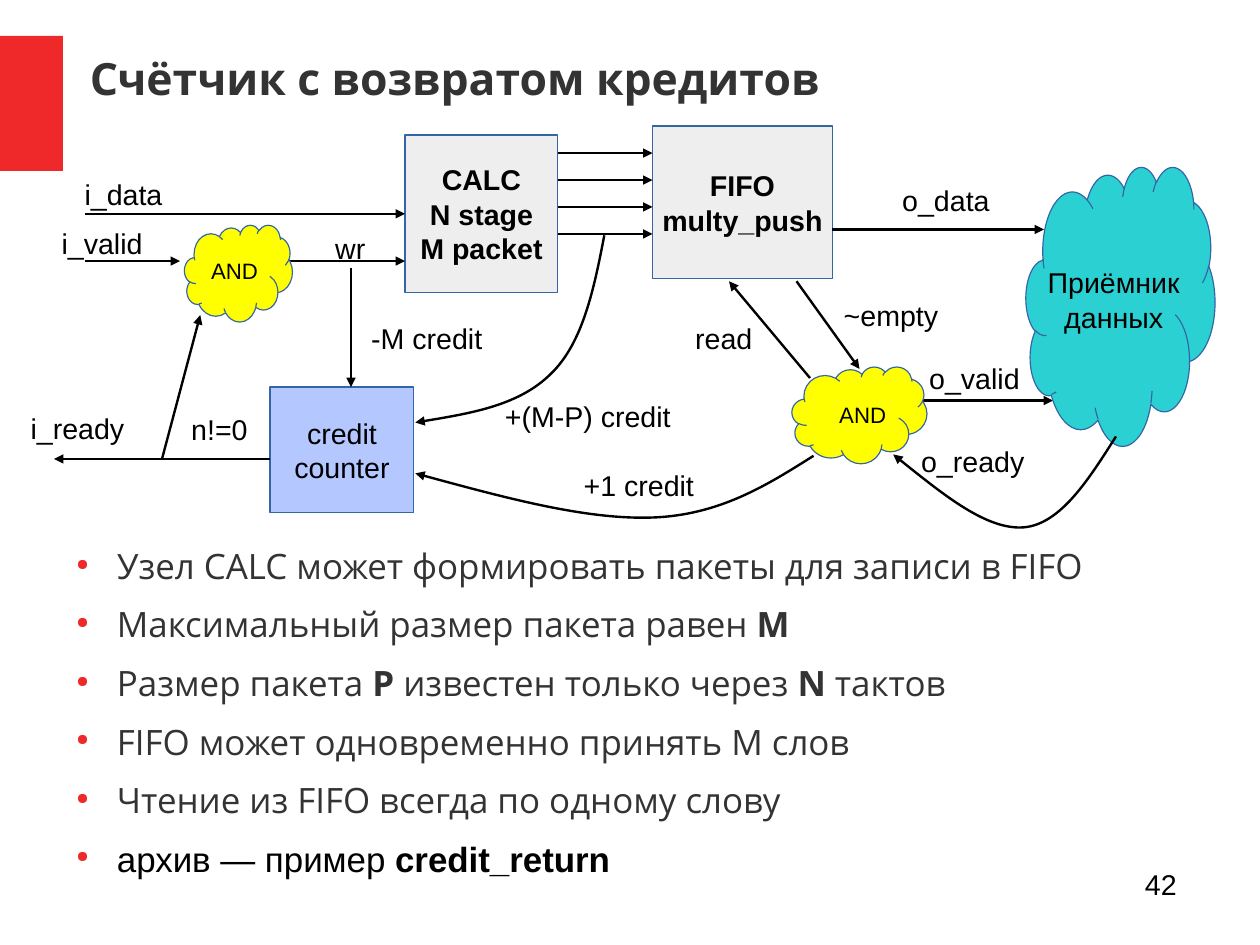
import lxml.etree
import pptx
import pptx.dml.color
import pptx.enum.shapes
import pptx.enum.text
import pptx.oxml
import pptx.oxml.ns
import pptx.util
from pptx.util import Cm

COLORS = {
    "red": "EF2929",
    "heading": "333333",
    "black": "000000",
    "gray": "EEEEEE",
    "outline": "3465A4",
    "cyan": "2BD0D2",
    "yellow": "FFFF00",
    "blue": "B4C8FF",
}
SHAPES = pptx.enum.shapes.MSO_SHAPE
ALIGN = pptx.enum.text.PP_ALIGN
ANCHOR = pptx.enum.text.MSO_ANCHOR
QNAME = pptx.oxml.ns.qn


def rgb(name):
    return pptx.dml.color.RGBColor.from_string(COLORS[name])


class DiagramSlide:
    """Draws the elements of a block diagram slide in one common style."""

    def __init__(self, slide, font="Arial", size=18, line_width=1.5):
        self.slide = slide
        self.font = font
        self.size = size
        self.line_width = pptx.util.Pt(line_width)

    def style(self, paragraph, size=None, font=None, color="black", bold=False):
        paragraph.font.name = font or self.font
        paragraph.font.size = pptx.util.Pt(size or self.size)
        paragraph.font.color.rgb = rgb(color)
        if bold is not None:
            paragraph.font.bold = bold

    def block(self, kind, left, top, width, height, fill, lines=(), outline="outline", size=None, bold=False):
        shape = self.slide.shapes.add_shape(kind, Cm(left), Cm(top), Cm(width), Cm(height))
        shape.shadow.inherit = False
        shape.fill.solid()
        shape.fill.fore_color.rgb = rgb(fill)
        if outline:
            shape.line.color.rgb = rgb(outline)
            shape.line.width = pptx.util.Pt(0.75)
        else:
            shape.line.fill.background()
        frame = shape.text_frame
        frame.word_wrap = False
        frame.vertical_anchor = ANCHOR.MIDDLE
        for index, line in enumerate(lines):
            paragraph = frame.add_paragraph() if index else frame.paragraphs[0]
            paragraph.text = line
            paragraph.alignment = ALIGN.CENTER
            self.style(paragraph, size, bold=bold)
        return shape

    def text_box(self, left, top, width, height, inset=True):
        box = self.slide.shapes.add_textbox(Cm(left), Cm(top), Cm(width), Cm(height))
        frame = box.text_frame
        frame.word_wrap = True
        if not inset:
            frame.margin_left = frame.margin_top = frame.margin_right = frame.margin_bottom = 0
        return frame

    def label(self, text, left, top, width=3.2, size=None, align=ALIGN.LEFT):
        paragraph = self.text_box(left, top, width, 0.97).paragraphs[0]
        paragraph.text = text
        paragraph.alignment = align
        self.style(paragraph, size)

    def title(self, text, left, top, width, height):
        frame = self.text_box(left, top, width, height, inset=False)
        frame.vertical_anchor = ANCHOR.MIDDLE
        frame.paragraphs[0].text = text
        self.style(frame.paragraphs[0], 28, "Open Sans", "heading", True)

    def bullets(self, items, left, top, width, height):
        frame = self.text_box(left, top, width, height, inset=False)
        for index, (font, color, runs) in enumerate(items):
            paragraph = frame.add_paragraph() if index else frame.paragraphs[0]
            paragraph.space_after = pptx.util.Pt(10.5)
            properties = paragraph._p.get_or_add_pPr()
            properties.set("marL", str(Cm(1.2)))
            properties.set("indent", str(Cm(-0.9)))
            bullet_color = lxml.etree.SubElement(properties, QNAME("a:buClr"))
            lxml.etree.SubElement(bullet_color, QNAME("a:srgbClr"), val=COLORS["red"])
            lxml.etree.SubElement(properties, QNAME("a:buSzPct"), val="45000")
            lxml.etree.SubElement(properties, QNAME("a:buChar"), char="●")
            self.style(paragraph, 22, font, color, None)
            for position, text in enumerate(runs):
                run = paragraph.add_run()
                run.text = text
                run.font.bold = position % 2 == 1

    def finish_line(self, shape):
        shape.line.color.rgb = rgb("black")
        shape.line.width = self.line_width
        lxml.etree.SubElement(shape.line._get_or_add_ln(), QNAME("a:tailEnd"), type="triangle", w="med", len="med")

    def arrow(self, x1, y1, x2, y2, target=None, side=1):
        connector = self.slide.shapes.add_connector(
            pptx.enum.shapes.MSO_CONNECTOR.STRAIGHT, Cm(x1), Cm(y1), Cm(x2), Cm(y2))
        if target is not None:
            connector.end_connect(target, side)
        self.finish_line(connector)
        lxml.etree.SubElement(connector._element.spPr, QNAME("a:effectLst"))

    def curve(self, points):
        start, *controls = [(Cm(x), Cm(y)) for x, y in points]
        builder = self.slide.shapes.build_freeform(*start)
        builder.add_line_segments(controls, close=False)
        shape = builder.convert_to_shape()
        outline = next(shape._element.iter(QNAME("a:path")))
        segments = outline.findall(QNAME("a:lnTo"))
        for first in range(0, len(segments), 3):
            bezier = lxml.etree.SubElement(outline, QNAME("a:cubicBezTo"))
            for segment in segments[first:first + 3]:
                bezier.append(segment[0])
                outline.remove(segment)
        shape.shadow.inherit = False
        shape.fill.background()
        self.finish_line(shape)


def main():
    presentation = pptx.Presentation()
    presentation.slide_width = Cm(28)
    presentation.slide_height = Cm(21)
    diagram = DiagramSlide(presentation.slides.add_slide(presentation.slide_layouts[6]))

    diagram.block(SHAPES.RECTANGLE, 0, 0.8, 1.4, 3, "red", outline=None)
    diagram.title("Счётчик с возвратом кредитов", 2, 0.85, 24.6, 1.75)

    calc = diagram.block(SHAPES.RECTANGLE, 9, 3, 3.4, 3.5, "gray", ["CALC", "N stage", "M packet"], bold=True)
    diagram.block(SHAPES.RECTANGLE, 14.5, 2.8, 4, 3.4, "gray", ["FIFO", "multy_push"], bold=True)
    diagram.block(SHAPES.RECTANGLE, 6, 8.6, 3.2, 2.8, "blue", ["credit", "counter"])

    diagram.arrow(1.9, 4.75, 9, 4.75, target=calc)
    for lane in range(4):
        y = 3.4 + 0.6 * lane
        diagram.arrow(12.4, y, 14.5, y)
    for ends in [
        (1.9, 5.8, 4, 5.8),
        (6.3, 5.8, 9, 5.8),
        (18.5, 5.1, 23.2, 5.1),
        (19.8, 8.9, 23.4, 8.9),
        (6, 10.2, 1.2, 10.2),
        (3.6, 10.2, 4.45, 7),
        (7.8, 5.95, 7.8, 8.6),
        (17.7, 6.25, 19.1, 8.2),
        (18, 8.4, 16.2, 6.25),
    ]:
        diagram.arrow(*ends)

    diagram.block(SHAPES.CLOUD, 22.8, 3.7, 4.2, 6.2, "cyan", ["Приёмник", "данных"])
    diagram.block(SHAPES.CLOUD, 17.6, 8.15, 3, 2.15, "yellow")
    diagram.block(SHAPES.CLOUD, 4.1, 5, 2.4, 2.15, "yellow", ["AND"], size=14)
    diagram.label("AND", 18.4, 8.8, 2, size=14)

    for text, left, top in [
        ("i_data", 1.63, 3.8),
        ("i_valid", 1.12, 4.9),
        ("i_ready", 0.43, 9),
        ("wr", 7.2, 5),
        ("n!=0", 4, 9.04),
        ("-M credit", 8, 7),
        ("+(M-P) credit", 10.97, 8.75),
        ("+1 credit", 12.72, 10.28),
        ("read", 15.2, 7),
        ("~empty", 18.5, 6.5),
        ("o_data", 19.8, 3.93),
        ("o_valid", 20.4, 7.9),
        ("o_ready", 20.22, 9.75),
    ]:
        diagram.label(text, left, top, 4.4 if "(" in text else 3.2)

    for points in [
        [(24.8, 9.7), (24.18, 10.68), (23.56, 11.65), (22.75, 11.72),
         (21.93, 11.78), (20.9, 10.94), (19.85, 10.1)],
        [(13.43, 5.23), (13.2, 6.43), (12.95, 7.62), (12.25, 8.3),
         (11.55, 9), (10.4, 9.2), (9.23, 9.39)],
        [(18.08, 10.13), (17.05, 10.78), (16, 11.44), (14.53, 11.5),
         (13.05, 11.56), (11.14, 11.04), (9.23, 10.52)],
    ]:
        diagram.curve(points)

    diagram.bullets([
        ("Open Sans", "heading", ["Узел CALC может формировать пакеты для записи в FIFO"]),
        ("Open Sans", "heading", ["Максимальный размер пакета равен", " M"]),
        ("Open Sans", "heading", ["Размер пакета ", "P", " известен только через ", "N", " тактов"]),
        ("Open Sans", "heading", ["FIFO может одновременно принять M слов"]),
        ("Open Sans", "heading", ["Чтение из FIFO всегда по одному слову"]),
        ("Arial", "black", ["архив — пример ", "credit_return"]),
    ], 1.4, 12.1, 25.6, 8.6)
    diagram.label("42", 20.07, 19.13, 6.33, align=ALIGN.RIGHT)

    presentation.save("out.pptx")


if __name__ == "__main__":
    main()
